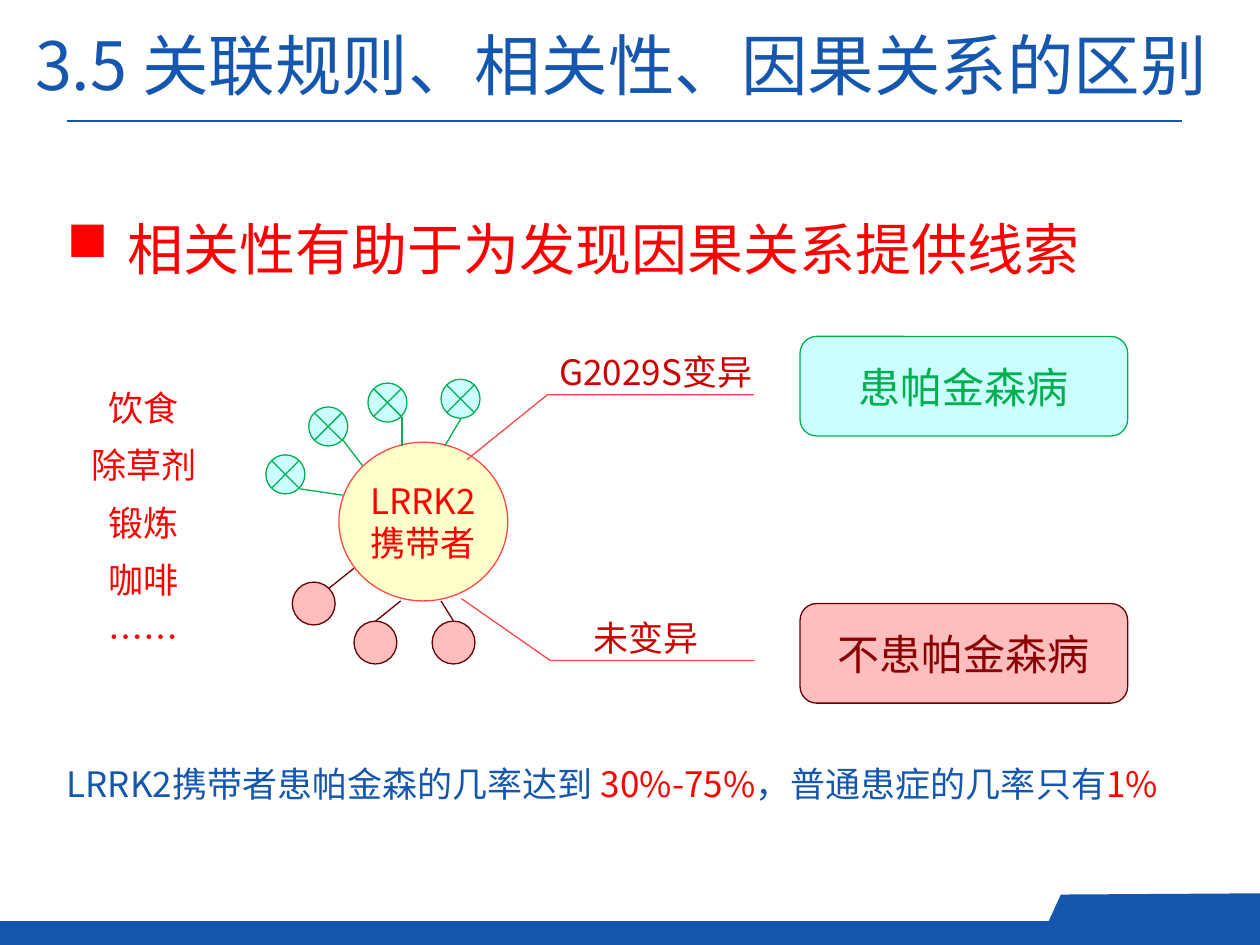
from dataclasses import dataclass

from lxml import etree
from pptx import Presentation
from pptx.dml.color import RGBColor
from pptx.enum.shapes import MSO_CONNECTOR, MSO_SHAPE
from pptx.enum.text import MSO_ANCHOR, PP_ALIGN
from pptx.oxml.ns import qn
from pptx.util import Pt

PX = 9144  # EMU in one px, 100 px to the inch
RECT, OVAL, ROUND = MSO_SHAPE.RECTANGLE, MSO_SHAPE.OVAL, MSO_SHAPE.ROUNDED_RECTANGLE
CROSSED = MSO_SHAPE.FLOWCHART_SUMMING_JUNCTION
DOT = MSO_SHAPE.FLOWCHART_CONNECTOR
CALLOUT = MSO_SHAPE.LINE_CALLOUT_2_NO_BORDER
STRAIGHT = MSO_CONNECTOR.STRAIGHT
CENTER, LEFT = PP_ALIGN.CENTER, PP_ALIGN.LEFT
TOP, MIDDLE, BOTTOM = MSO_ANCHOR.TOP, MSO_ANCHOR.MIDDLE, MSO_ANCHOR.BOTTOM


@dataclass(frozen=True)
class Theme:
    font: str = "Noto Sans CJK SC"
    blue: str = "1557AE"
    red: str = "FF0000"
    label_red: str = "CC0000"
    line_red: str = "FF4747"
    cream: str = "FFFFCC"
    green: str = "00B050"
    aqua: str = "CCFFFF"
    maroon: str = "660000"
    dark_red: str = "8B0000"
    pink: str = "FFBEBE"
    title: int = 38
    heading: int = 32
    box: int = 24
    body: int = 20
    thin: float = 0.75
    rule: float = 1.5


class Deck:
    def __init__(self, s, theme):
        self.s, self.t = s, theme

    def paint(self, sp, fill, line):
        sp.shadow.inherit = False
        if fill:
            sp.fill.solid()
            sp.fill.fore_color.rgb = RGBColor.from_string(fill)
        else:
            sp.fill.background()
        if line:
            sp.line.color.rgb = RGBColor.from_string(line)
            sp.line.width = Pt(self.t.thin)
        else:
            sp.line.fill.background()

    def style(self, r, size, color):
        r.font.size = Pt(size)
        r.font.name = self.t.font
        r.font.color.rgb = RGBColor.from_string(color)
        ea = etree.SubElement(r.font._element, qn("a:ea"))
        ea.set("typeface", self.t.font)

    def fill_text(self, tf, lines, size, color, align=LEFT, anchor=TOP):
        tf.vertical_anchor = anchor
        tf.text = "\n".join(lines)
        for p in tf.paragraphs:
            p.alignment = align
            for r in p.runs:
                self.style(r, size, color)

    def shape(self, kind, box, fill=None, line=None, adjust=()):
        sp = self.s.shapes.add_shape(kind, *(v * PX for v in box))
        self.paint(sp, fill, line)
        for i, value in enumerate(adjust):
            sp.adjustments[i] = value
        return sp

    def label_shape(self, kind, box, fill, line, lines, size, color):
        tf = self.shape(kind, box, fill, line).text_frame
        tf.margin_left = tf.margin_right = tf.margin_top = tf.margin_bottom = 0
        self.fill_text(tf, lines, size, color, CENTER, MIDDLE)

    def text(self, box, lines, size, color, align=LEFT, anchor=TOP, wrap=True):
        tf = self.s.shapes.add_textbox(*(v * PX for v in box)).text_frame
        tf.word_wrap = wrap
        self.fill_text(tf, lines, size, color, align, anchor)
        return tf

    def spaced(self, tf, before):
        for i, p in enumerate(tf.paragraphs):
            p.line_spacing = 1.2
            p.space_before = Pt(before if i else 0)

    def bullet(self, p, char, indent):
        pPr = p._p.get_or_add_pPr()
        pPr.set("marL", str(indent * PX))
        pPr.set("indent", str(-indent * PX))
        etree.SubElement(pPr, qn("a:buChar")).set("char", char)

    def line(self, start, end, color, width):
        c = self.s.shapes.add_connector(STRAIGHT, *(v * PX for v in start + end))
        c.line.color.rgb = RGBColor.from_string(color)
        c.line.width = Pt(width)
        etree.SubElement(c._element.spPr, qn("a:effectLst"))

    def polygon(self, points, fill):
        fb = self.s.shapes.build_freeform(*points[0], scale=PX)
        fb.add_line_segments(points[1:], close=True)
        self.paint(fb.convert_to_shape(), fill, None)


def main():
    t = Theme()
    prs = Presentation()
    prs.slide_width, prs.slide_height = 1000 * PX, 750 * PX
    d = Deck(prs.slides.add_slide(prs.slide_layouts[6]), t)

    # Title rule and footer
    d.line((53, 96), (938, 96), t.blue, t.rule)
    d.shape(RECT, (0, 731, 1000, 19), t.blue)
    d.polygon([(1000, 745), (1000, 709), (842, 710), (826, 745)], t.blue)

    # Title and heading
    d.text((18, -11, 988, 98), ["3.5 关联规则、相关性、因果关系的区别"],
           t.title, t.blue, anchor=BOTTOM)
    tf = d.text((43, 155, 888, 80), ["相关性有助于为发现因果关系提供线索"],
                t.heading, t.red)
    d.spaced(tf, 0)
    d.bullet(tf.paragraphs[0], "■", 48)

    # Carrier, the two branches and their outcomes
    d.label_shape(OVAL, (269, 351, 134, 126), t.cream, t.line_red,
                  ["LRRK2", "携带者"], t.body, t.red)
    branches = [
        ((470, 303, 213, 55), (0.188, 0.603, 0.188, -0.167, 1.125, -0.467),
         (434, 273, 197, 44), "G2029S变异"),
        ((487, 319, 213, 55), (3.732, 0.526, 3.732, -0.236, 2.837, -0.567),
         (461, 484, 104, 44), "未变异"),
    ]
    for box, adjust, label_box, label in branches:
        d.shape(CALLOUT, box, line=t.line_red, adjust=adjust)
        d.text(label_box, [label], t.body, t.label_red, wrap=False)
    outcomes = [
        (267, t.aqua, t.green, "患帕金森病", t.green),
        (479, t.pink, t.maroon, "不患帕金森病", t.dark_red),
    ]
    for top, fill, line, label, color in outcomes:
        d.label_shape(ROUND, (635, top, 260, 79), fill, line, [label], t.box, color)

    # Factors around the carrier: left, top, link start, link end
    crossed = [
        (350, 301, (366, 332), (353, 354)),
        (292, 304, (319, 331), (319, 354)),
        (245, 323, (272, 349), (288, 370)),
        (211, 361, (238, 388), (272, 393)),
    ]
    dots = [
        (232, 462, (261, 467), (281, 451)),
        (281, 493, (298, 493), (318, 477)),
        (343, 493, (360, 493), (350, 477)),
    ]
    for kind, size, fill, line, group in ((CROSSED, 31, t.aqua, t.green, crossed),
                                          (DOT, 34, t.pink, t.maroon, dots)):
        for left, top, start, end in group:
            d.shape(kind, (left, top, size, size), fill, line)
            d.line(start, end, line, t.thin)

    # Factor list
    tf = d.text((19, 295, 190, 240), ["饮食", "除草剂", "锻炼", "咖啡", "……"],
                t.body, t.red, CENTER)
    d.spaced(tf, 4)

    # Conclusion
    tf = d.text((43, 600, 898, 77), ["LRRK2携带者患帕金森的几率达到 "], t.body, t.blue)
    for words, color in (("30%-75%", t.red), ("，普通患症的几率只有", t.blue), ("1%", t.red)):
        r = tf.paragraphs[0].add_run()
        r.text = words
        d.style(r, t.body, color)

    prs.save("out.pptx")


if __name__ == "__main__":
    main()
